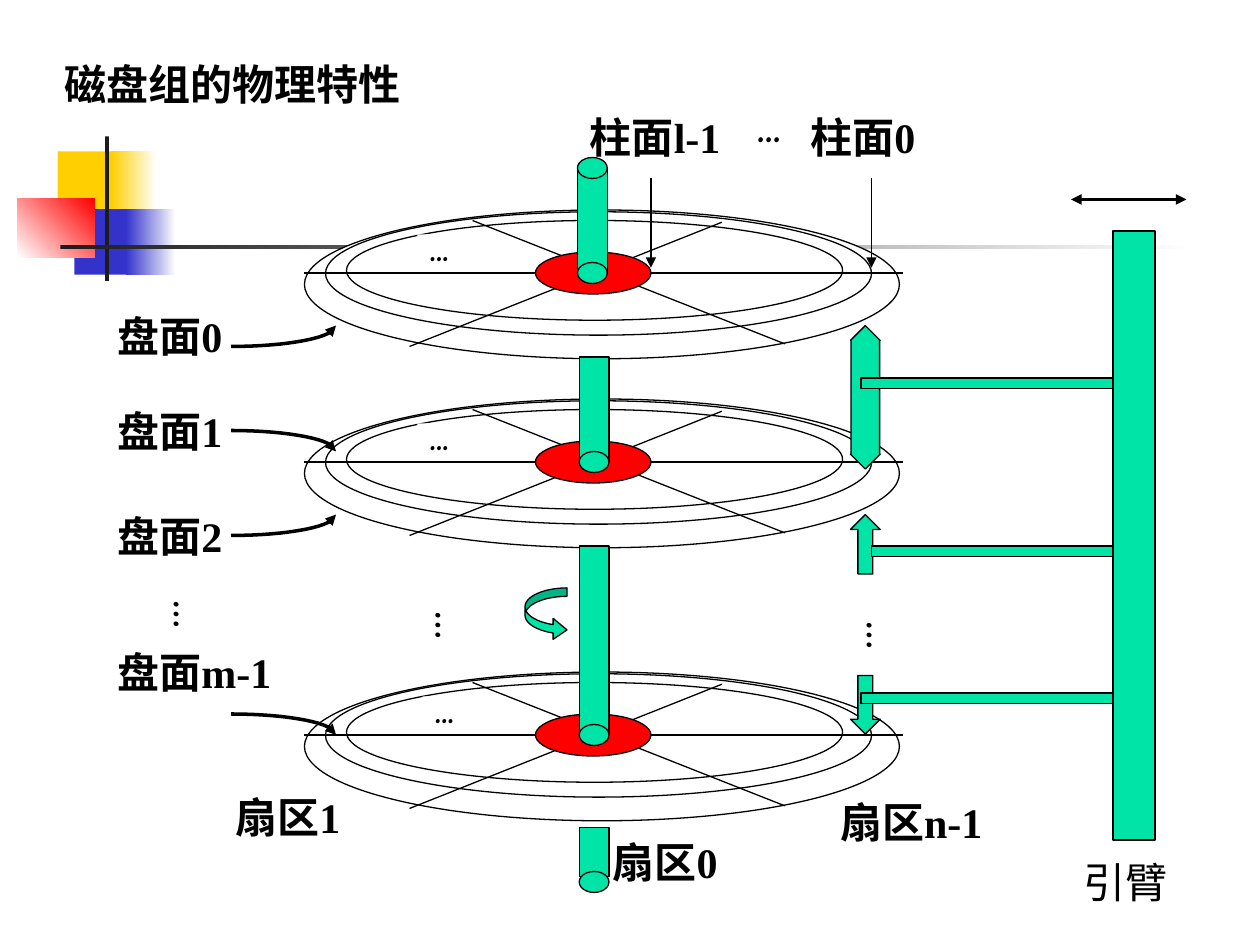
from math import cos, pi, sin

from lxml.etree import SubElement
from pptx import Presentation
from pptx.dml.color import RGBColor
from pptx.enum.shapes import MSO_CONNECTOR, MSO_SHAPE as Preset
from pptx.enum.text import MSO_AUTO_SIZE as AutoSize
from pptx.oxml.ns import qn
from pptx.util import Pt

BLACK, WHITE, GREEN, RED = "000000", "FFFFFF", "00E4A8", "FF0000"
GOLD, BLUE, DARK = "FFCF01", "3333CC", "1C1C1C"
SERIF, COMIC = "Times New Roman", "Comic Neue"

# left, top, width, height, colours from start to end, gradient angle
DECORATION = [
    (33, 86.5, 34.5, 37.5, [GOLD], 0),
    (63.5, 86.5, 26, 37.5, [GOLD, WHITE], 0),
    (42.5, 119.5, 33, 37.5, [BLUE], 0),
    (72, 119.5, 28.5, 37.5, [BLUE, WHITE], 0),
    (10, 113.5, 44, 33.5, [WHITE, RED], 45),
    (60, 78, 2.3, 82.5, [DARK], 0),
    (34.5, 140, 648, 2.5, [DARK, WHITE], 0),
]
DISK_TOPS = [120, 228, 384]
# left, top, width, height; tops count from the top of the disk
TRACKS = [(174, 0, 340, 85), (186, 1, 312, 70.5), (198, 6, 283.5, 57)]
SECTOR_LINES = [(412.5, 7, 234, 78), (270, 6, 448.5, 76.5), (174, 36, 516, 36)]
HUB = (306, 24, 66, 24)
DISK_DOTS = [(238.5, 134), (238.5, 242), (241.5, 398)]

SPINDLE_WIDTH, CAP_HEIGHT = 17, 12
# left, top, height, tops of the caps
SPINDLES = [
    (330, 96, 60, [90, 150]),
    (331, 204, 60, [258]),
    (331, 312, 107, [414]),
    (331, 473, 28, [498]),
]

HEAD_LEFT, HEAD_WIDTH = 486, 17
HEAD_MOVES = [
    (Preset.UP_ARROW, 294, 34, 0.5),
    (Preset.UP_DOWN_ARROW, 186, 82, 0.96),
    (Preset.DOWN_ARROW, 386, 33.5, 0.5),
]
POST = (636, 132, 24, 348)
ARMS = [(492, 216), (498, 312), (492, 396)]
ARM_HEIGHT = 6

# start y and end y of the arrow from each surface label
SURFACE_ARROWS = [(198, 186), (246, 258), (306, 294), (408, 420)]
ARROW_START, ARROW_END = 132, 192

LABELS = [
    ("盘面0", 60, 174, 84, 36),
    ("盘面1", 60, 228, 84, 36),
    ("盘面2", 60, 288, 84, 36),
    ("盘面m-1", 60, 366, 108, 36),
    ("扇区1", 127.5, 449, 75, 65),
    ("扇区0", 343, 474.5, 84, 36),
    ("扇区n-1", 473, 451.5, 96, 65),
    ("柱面0", 456, 60, 84, 36),
    ("柱面l-1", 330, 60, 102, 36),
]
VERTICAL_DOTS = [(84, 336), (233.5, 342), (480, 348)]
CYLINDER_ARROWS = [372, 498]

deck = Presentation()
deck.slide_width, deck.slide_height = Pt(720), Pt(540)
slide = deck.slides.add_slide(deck.slide_layouts[6])
shapes = slide.shapes


def rgb(value):
    return RGBColor.from_string(value)


def add_ends(shape, ends):
    """Put a triangle on each named end, headEnd before tailEnd."""
    for end in ends:
        SubElement(shape._element.spPr.get_or_add_ln(), qn(f"a:{end}"), type="triangle")


def outline(line, width):
    line.color.rgb = rgb(BLACK)
    line.width = Pt(width)


def add_figure(preset, left, top, width, height, color, lined=True):
    figure = shapes.add_shape(preset, Pt(left), Pt(top), Pt(width), Pt(height))
    figure.shadow.inherit = False
    figure.fill.solid()
    figure.fill.fore_color.rgb = rgb(color)
    if lined:
        outline(figure.line, 0.75)
    else:
        figure.line.fill.background()
    return figure


def add_line(x1, y1, x2, y2, width=0.75, ends=()):
    line = shapes.add_connector(MSO_CONNECTOR.STRAIGHT, Pt(x1), Pt(y1), Pt(x2), Pt(y2))
    outline(line.line, width)
    add_ends(line, ends)
    SubElement(line._element.spPr, qn("a:effectLst"))


def add_text(text, left, top, width, height, font=SERIF, size=24, bold=True,
             insets=(7.2, 3.6), grow=True):
    box = shapes.add_textbox(Pt(left), Pt(top), Pt(width), Pt(height))
    frame = box.text_frame
    frame.word_wrap = True
    frame.auto_size = AutoSize.SHAPE_TO_FIT_TEXT if grow else AutoSize.NONE
    frame.margin_left = frame.margin_right = Pt(insets[0])
    frame.margin_top = frame.margin_bottom = Pt(insets[1])
    frame.text = text
    run_font = frame.paragraphs[0].runs[0].font
    run_font.name, run_font.size, run_font.bold = font, Pt(size), bold
    run_font.color.rgb = rgb(BLACK)
    return box


def add_quarter_arrow(start_y, end_y, steps=16):
    """Draw a quarter ellipse that leaves its label level and ends upright."""
    angles = [pi / 2 * step / steps for step in range(steps + 1)]
    points = [(Pt(ARROW_START + (ARROW_END - ARROW_START) * sin(angle)),
               Pt(start_y + (end_y - start_y) * (1 - cos(angle)))) for angle in angles]
    builder = shapes.build_freeform(*points[0])
    builder.add_line_segments(points[1:], close=False)
    arrow = builder.convert_to_shape()
    arrow.shadow.inherit = False
    arrow.fill.background()
    outline(arrow.line, 2)
    add_ends(arrow, ["tailEnd"])


for left, top, width, height, colors, angle in DECORATION:
    block = add_figure(Preset.RECTANGLE, left, top, width, height, colors[0], lined=False)
    if len(colors) > 1:
        block.fill.gradient()
        block.fill.gradient_angle = angle
        for stop, position, color in zip(block.fill.gradient_stops, (0, 1), colors):
            stop.position, stop.color.rgb = position, rgb(color)

add_text("磁盘组的物理特性", 30, 30, 630, 60, grow=False)

for disk_top, (dots_left, dots_top) in zip(DISK_TOPS, DISK_DOTS):
    for left, top, width, height in TRACKS:
        add_figure(Preset.OVAL, left, disk_top + top, width, height, WHITE)
    for x1, y1, x2, y2 in SECTOR_LINES:
        add_line(x1, disk_top + y1, x2, disk_top + y2)
    left, top, width, height = HUB
    add_figure(Preset.OVAL, left, disk_top + top, width, height, RED)
    dots = add_text("...", dots_left, dots_top, 47.5, 19.5, COMIC, 20, insets=(7.2, 0))
    dots.text_frame.paragraphs[0].line_spacing = 0.8
    dots.fill.solid()
    dots.fill.fore_color.rgb = rgb(WHITE)

for left, top, height, cap_tops in SPINDLES:
    add_figure(Preset.RECTANGLE, left, top, SPINDLE_WIDTH, height, GREEN)
    for cap_top in cap_tops:
        add_figure(Preset.OVAL, left, cap_top, SPINDLE_WIDTH, CAP_HEIGHT, GREEN)

rotation = add_figure(Preset.CURVED_RIGHT_ARROW, 300, 336, 24, 30, GREEN)
for index, value in enumerate((0.2, 0.5, 0.33)):
    rotation.adjustments[index] = value

for preset, top, height, head_length in HEAD_MOVES:
    move = add_figure(preset, HEAD_LEFT, top, HEAD_WIDTH, height, GREEN)
    move.adjustments[1] = head_length
for left, top in ARMS:
    add_figure(Preset.RECTANGLE, left, top, POST[0] - left, ARM_HEIGHT, GREEN)
add_figure(Preset.RECTANGLE, *POST, GREEN)
add_line(612, 114, 678, 114, 2, ["headEnd", "tailEnd"])
add_text("引臂", 612, 486, 72, 36, bold=False)

for label in LABELS:
    add_text(*label)
for start_y, end_y in SURFACE_ARROWS:
    add_quarter_arrow(start_y, end_y)
for x in CYLINDER_ARROWS:
    add_line(x, 102, x, 153, ends=["tailEnd"])
add_text("...", 426, 54, 42, 36, COMIC)
for left, top in VERTICAL_DOTS:
    dots = add_text("…", left, top, 43, 48, COMIC, insets=(3.6, 7.2))
    dots.text_frame._txBody.bodyPr.set("vert", "eaVert")

deck.save("out.pptx")
